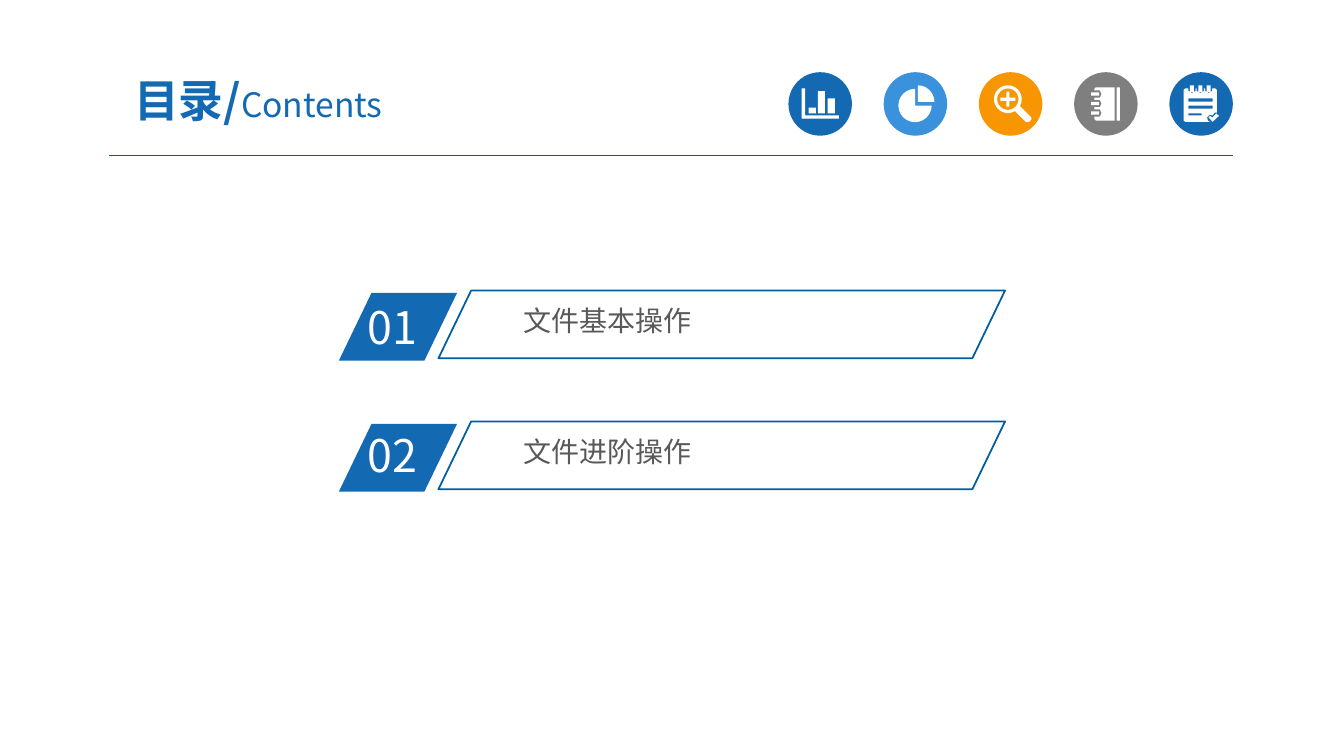
from math import cos, radians, sin

from lxml import etree
from pptx import Presentation
from pptx.dml.color import RGBColor
from pptx.enum.shapes import MSO_CONNECTOR, MSO_SHAPE
from pptx.enum.text import MSO_ANCHOR, MSO_AUTO_SIZE, PP_ALIGN
from pptx.oxml.ns import qn
from pptx.util import Cm, Pt

ELLIPSE = MSO_SHAPE.OVAL
PARALLELOGRAM = MSO_SHAPE.PARALLELOGRAM
STRAIGHT = MSO_CONNECTOR.STRAIGHT
MIDDLE = MSO_ANCHOR.MIDDLE
CENTER = PP_ALIGN.CENTER
NO_AUTOFIT = MSO_AUTO_SIZE.NONE
GROW = MSO_AUTO_SIZE.SHAPE_TO_FIT_TEXT

FONT = "Noto Sans CJK SC"
COLORS = {
    "blue": "1369B2",
    "sky": "3992DB",
    "orange": "F79600",
    "gray": "7F7F7F",
    "white": "FFFFFF",
    "frame": "005DA2",
    "rule": "005B9E",
    "text": "595959",
}
SLANT = 0.482
ICON_SIZE, ICON_LEFT, ICON_TOP, ICON_STEP = 1.6, 19.87, 1.82, 2.4
ROW_STEP = 3.3


def box(x, y, w, h):
    return [(x, y), (x + w, y), (x + w, y + h), (x, y + h)]


def arc(cx, cy, r, start=0, end=345, step=15):
    angles = [radians(a) for a in range(start, end + 1, step)]
    return [(cx + r * cos(a), cy + r * sin(a)) for a in angles]


def bar_icon():
    axes = [(0.33, 0.41), (0.42, 0.41), (0.42, 1.09), (1.27, 1.09), (1.27, 1.17), (0.33, 1.17)]
    bars = ((0.51, 0.15), (0.74, 0.56), (0.99, 0.38))
    return [axes] + [box(x, 1.04 - h, 0.18, h) for x, h in bars]


def pie_icon():
    return [
        [(0.79, 0.84)] + arc(0.79, 0.84, 0.42, 0, 270),
        [(0.86, 0.75)] + arc(0.86, 0.75, 0.42, 270, 360),
    ]


def magnifier_icon():
    cx, cy, arm, half = 0.73, 0.68, 0.19, 0.04
    handle = [(1.04, 0.86), (1.32, 1.14), (1.32, 1.2), (1.25, 1.26), (1.18, 1.25), (0.9, 0.97)]
    plus = [
        (cx - half, cy - arm), (cx + half, cy - arm), (cx + half, cy - half),
        (cx + arm, cy - half), (cx + arm, cy + half), (cx + half, cy + half),
        (cx + half, cy + arm), (cx - half, cy + arm), (cx - half, cy + half),
        (cx - arm, cy + half), (cx - arm, cy - half), (cx - half, cy - half),
    ]
    return [arc(cx, cy, 0.35, 60, 390) + handle, arc(cx, cy, 0.27), plus]


def notebook_icon():
    tops = [0.46 + 0.24 * i for i in range(3)]
    cover = [(1.02, 1.22), (1.02, 0.38), (0.55, 0.38), (0.51, 0.42)]
    for y in tops:
        cover += [(0.51, y), (0.65, y), (0.69, y + 0.09), (0.65, y + 0.18), (0.51, y + 0.18)]
    cover += [(0.51, 1.18), (0.55, 1.22)]
    return [cover, box(1.07, 0.38, 0.08, 0.84)] + [box(0.43, y + 0.05, 0.2, 0.08) for y in tops]


def notepad_icon():
    lefts = [0.48 + 0.21 * i for i in range(3)]
    sheet = [(0.36, 1.22), (0.36, 0.45), (0.4, 0.41)]
    for x in lefts:
        sheet += [(x, 0.41), (x, 0.47), (x + 0.09, 0.53), (x + 0.18, 0.47), (x + 0.18, 0.41)]
    sheet += [(1.16, 0.41), (1.2, 0.45), (1.2, 1.02), (1.14, 1.02), (1.09, 1.09),
              (1.02, 1.07), (0.95, 1.14), (0.97, 1.22), (1.02, 1.25), (0.4, 1.25)]
    tick = [(0.99, 1.14), (1.02, 1.1), (1.09, 1.14), (1.18, 1.04), (1.25, 1.1), (1.09, 1.25)]
    rules = [box(0.48, y, w, h) for y, w, h in
             ((0.66, 0.61, 0.08), (0.84, 0.61, 0.08), (1.04, 0.33, 0.05))]
    rings = [box(x + 0.04, 0.33, 0.1, 0.17) for x in lefts]
    return [sheet, tick] + rules + rings


class ContentsSlide:
    def __init__(self, prs):
        self.s = prs.slides.add_slide(prs.slide_layouts[5])

    def color(self, name):
        return RGBColor.from_string(COLORS[name])

    def font(self, font, size, color, bold=False):
        font.size = Pt(size)
        font.bold = bold
        font.color.rgb = self.color(color)
        font.name = FONT
        etree.SubElement(font._element, qn("a:ea"), typeface=FONT)

    def paint(self, sp, fill=None, line=None):
        sp.shadow.inherit = False
        if fill:
            sp.fill.solid()
            sp.fill.fore_color.rgb = self.color(fill)
        else:
            sp.fill.background()
        if line:
            sp.line.color.rgb = self.color(line)
            sp.line.width = Pt(1.25)
        else:
            sp.line.fill.background()

    def shape(self, kind, x, y, w, h, fill=None, line=None, adj=None):
        sp = self.s.shapes.add_shape(kind, Cm(x), Cm(y), Cm(w), Cm(h))
        self.paint(sp, fill, line)
        if adj is not None:
            sp.adjustments[0] = adj

    def icon(self, x, y, color, outlines):
        self.shape(ELLIPSE, x, y, ICON_SIZE, ICON_SIZE, color)
        paths = [[(Cm(x + dx), Cm(y + dy)) for dx, dy in outline] for outline in outlines]
        builder = self.s.shapes.build_freeform(*paths[0][0])
        builder.add_line_segments(paths[0][1:], close=True)
        for points in paths[1:]:
            builder.move_to(*points[0])
            builder.add_line_segments(points[1:], close=True)
        self.paint(builder.convert_to_shape(), "white")

    def rule(self, x1, x2, y):
        line = self.s.shapes.add_connector(STRAIGHT, Cm(x1), Cm(y), Cm(x2), Cm(y))
        line.line.color.rgb = self.color("rule")
        line.line.width = Pt(0.75)
        etree.SubElement(line._element.spPr, qn("a:effectLst"))

    def title(self, x, y, w, h, parts):
        sp = self.s.shapes.title
        sp.left, sp.top, sp.width, sp.height = Cm(x), Cm(y), Cm(w), Cm(h)
        tf = sp.text_frame
        tf.auto_size = NO_AUTOFIT
        tf.vertical_anchor = MIDDLE
        tf.margin_left = tf.margin_right = Cm(0.33)
        tf.margin_top = tf.margin_bottom = Cm(0.18)
        p = tf.paragraphs[0]
        p.alignment = CENTER
        p.space_before = Pt(0)
        for text, size, bold in parts:
            r = p.add_run()
            r.text = text
            self.font(r.font, size, "blue", bold)

    def text(self, x, y, w, h, text, size, color, inset=(0.25, 0.13)):
        tf = self.s.shapes.add_textbox(Cm(x), Cm(y), Cm(w), Cm(h)).text_frame
        tf.word_wrap = True
        tf.auto_size = GROW
        tf.margin_left = tf.margin_right = Cm(inset[0])
        tf.margin_top = tf.margin_bottom = Cm(inset[1])
        p = tf.paragraphs[0]
        p.text = text
        self.font(p.font, size, color)

    def row(self, top, number_top, number, label):
        self.shape(PARALLELOGRAM, 8.54, top + 0.06, 2.98, 1.71, "blue", adj=SLANT)
        self.text(9.01, number_top, 2.84, 1.63, number, 32, "white")
        self.text(13.02, top + 0.24, 10.46, 1.09, label, 20, "text", (0.18, 0.1))
        self.shape(PARALLELOGRAM, 11.05, top, 14.28, 1.71, line="frame", adj=SLANT)


def main():
    prs = Presentation()
    prs.slide_width, prs.slide_height = Cm(33.87), Cm(19.05)
    page = ContentsSlide(prs)
    page.rule(2.75, 31.07, 3.93)
    icons = (
        ("blue", bar_icon()),
        ("sky", pie_icon()),
        ("orange", magnifier_icon()),
        ("gray", notebook_icon()),
        ("blue", notepad_icon()),
    )
    for i, (color, outlines) in enumerate(icons):
        page.icon(ICON_LEFT + ICON_STEP * i, ICON_TOP, color, outlines)
    page.title(2.33, 1.6, 8.36, 1.83, (("目录/", 32, True), ("Contents", 24, False)))
    rows = (("01", 7.42, "文件基本操作"), ("02", 10.65, "文件进阶操作"))
    for i, (number, number_top, label) in enumerate(rows):
        page.row(7.32 + ROW_STEP * i, number_top, number, label)
    prs.save("out.pptx")


if __name__ == "__main__":
    main()
